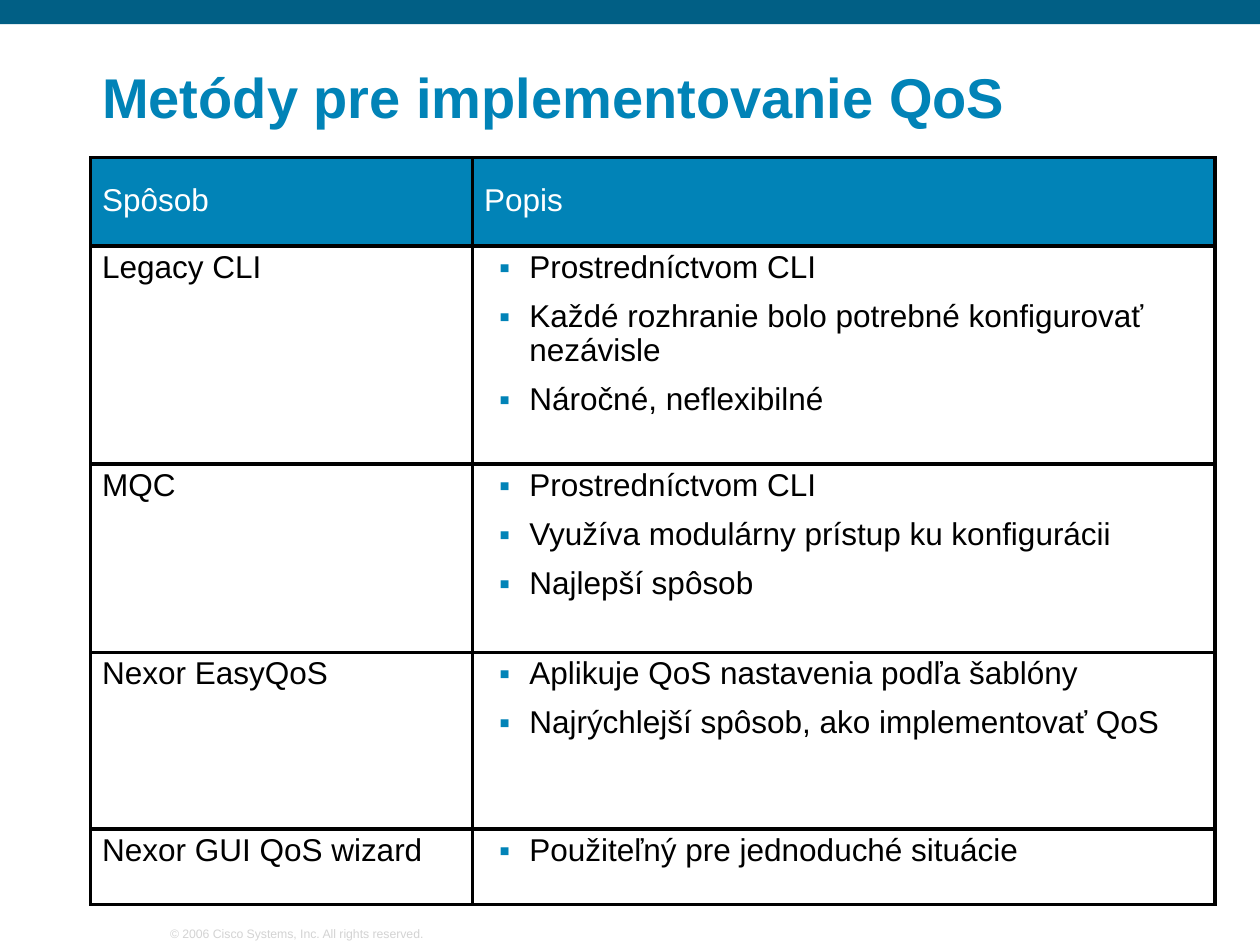
from lxml.etree import SubElement
from pptx import Presentation
from pptx.dml.color import RGBColor
from pptx.enum.shapes import MSO_SHAPE as SHAPE
from pptx.enum.text import MSO_ANCHOR as ANCHOR, MSO_AUTO_SIZE as AUTO, PP_ALIGN as ALIGN
from pptx.oxml.ns import qn
from pptx.util import Cm, Pt

NAVY = RGBColor(0x01, 0x5F, 0x85)
BLUE = RGBColor(0x01, 0x83, 0xB7)
BLACK = RGBColor(0, 0, 0)
WHITE = RGBColor(0xFF, 0xFF, 0xFF)
GRAY = RGBColor(0xD3, 0xD3, 0xD3)

HEADER = ("Spôsob", "Popis")
METHODS = [
    ("Legacy CLI", ["Prostredníctvom CLI",
                    "Každé rozhranie bolo potrebné konfigurovať nezávisle",
                    "Náročné, neflexibilné"]),
    ("MQC", ["Prostredníctvom CLI",
             "Využíva modulárny prístup ku konfigurácii",
             "Najlepší spôsob"]),
    ("Nexor EasyQoS", ["Aplikuje QoS nastavenia podľa šablóny",
                       "Najrýchlejší spôsob, ako implementovať QoS"]),
    ("Nexor GUI QoS wizard", ["Použiteľný pre jednoduché situácie"]),
]
COL_WIDTHS = (7.7, 14.96)
ROW_HEIGHTS = (1.78, 4.39, 3.8, 3.56, 1.52)


def write(tf, lines, size=18, color=BLACK, bold=False, spacing=0.95, bullet=False):
    for i, line in enumerate(lines):
        p = tf.add_paragraph() if i else tf.paragraphs[0]
        if bullet:
            p.level = 1
            pPr = p._p.get_or_add_pPr()
            pPr.set("marL", str(Cm(0.91)))
            pPr.set("indent", str(Cm(-0.61)))
            clr = SubElement(pPr, qn("a:buClr"))
            SubElement(clr, qn("a:srgbClr"), val=str(BLUE))
            SubElement(pPr, qn("a:buFont"), typeface="Arial")
            SubElement(pPr, qn("a:buChar"), char="▪")
        p.alignment = ALIGN.LEFT
        p.line_spacing = spacing
        p.space_before = Pt(9 if i else 0)
        r = p.add_run()
        r.text = line
        r.font.name = "Arial"
        r.font.size = Pt(size)
        r.font.bold = bold
        r.font.color.rgb = color


def format_cell(cell, fill, anchor):
    tcPr = cell._tc.get_or_add_tcPr()
    for side in ("a:lnL", "a:lnR", "a:lnT", "a:lnB"):
        ln = SubElement(tcPr, qn(side), w=str(Pt(2.25)))
        SubElement(SubElement(ln, qn("a:solidFill")), qn("a:srgbClr"), val=str(BLACK))
    cell.fill.solid()
    cell.fill.fore_color.rgb = fill
    cell.vertical_anchor = anchor
    cell.margin_left = cell.margin_right = Cm(0.23)
    cell.margin_top = cell.margin_bottom = Cm(0.11)


prs = Presentation()
prs.slide_width, prs.slide_height = Cm(25.4), Cm(19.05)
s = prs.slides.add_slide(prs.slide_layouts[5])

bar = s.shapes.add_shape(SHAPE.RECTANGLE, 0, 0, prs.slide_width, Cm(0.49))
bar.shadow.inherit = False
bar.fill.solid()
bar.fill.fore_color.rgb = NAVY
bar.line.fill.background()

title = s.shapes.title
title.left, title.top, title.width, title.height = Cm(1.83), Cm(0.84), Cm(22.63), Cm(1.9)
footer = s.shapes.add_textbox(Cm(3.2), Cm(18.54), Cm(5.61), Cm(0.53))
for sp in (title, footer):
    tf = sp.text_frame
    tf.word_wrap = True
    tf.auto_size = AUTO.NONE
    tf.vertical_anchor = ANCHOR.BOTTOM
    tf.margin_left = tf.margin_right = Cm(0.23)
    tf.margin_top = tf.margin_bottom = Cm(0.11)
write(title.text_frame, ["Metódy pre implementovanie QoS"],
      size=32, color=BLUE, bold=True, spacing=0.9)
write(footer.text_frame, ["© 2006 Cisco Systems, Inc. All rights reserved."],
      size=7, color=GRAY, spacing=1.0)

table = s.shapes.add_table(len(METHODS) + 1, len(HEADER), Cm(1.83), Cm(3.18),
                           Cm(sum(COL_WIDTHS)), Cm(sum(ROW_HEIGHTS))).table
table.horz_banding = False
for col, width in zip(table.columns, COL_WIDTHS):
    col.width = Cm(width)
for row, height in zip(table.rows, ROW_HEIGHTS):
    row.height = Cm(height)

for c, heading in enumerate(HEADER):
    cell = table.cell(0, c)
    format_cell(cell, BLUE, ANCHOR.MIDDLE)
    write(cell.text_frame, [heading], color=WHITE)
for i, (method, points) in enumerate(METHODS, start=1):
    for c, lines in enumerate(([method], points)):
        cell = table.cell(i, c)
        format_cell(cell, WHITE, ANCHOR.TOP)
        write(cell.text_frame, lines, bullet=c == 1)

prs.save("out.pptx")
